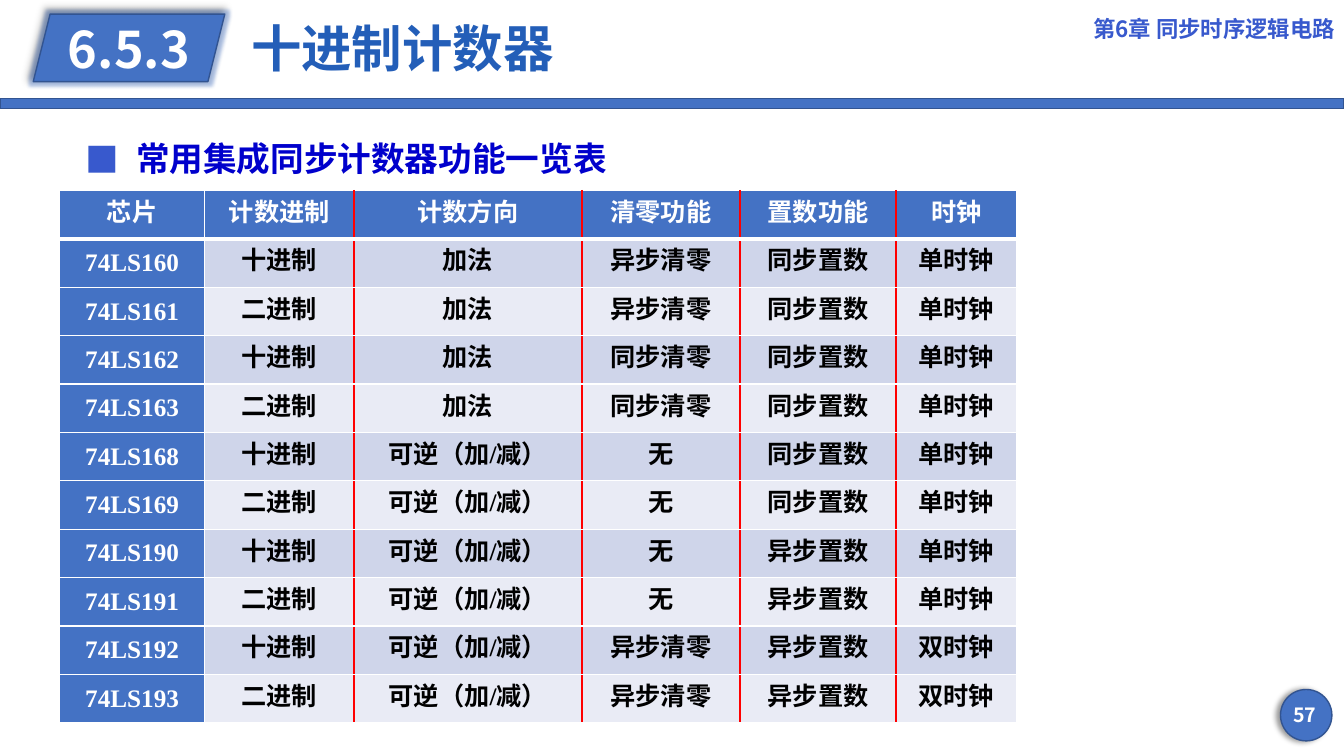
from dataclasses import dataclass

from lxml import etree
from pptx import Presentation
from pptx.dml.color import RGBColor
from pptx.enum.shapes import MSO_SHAPE
from pptx.enum.text import MSO_ANCHOR, MSO_AUTO_SIZE, PP_ALIGN
from pptx.oxml.ns import qn
from pptx.util import Pt

PX = 9144  # EMU per px, 100 px to the inch
LEFT, MID, RIGHT = PP_ALIGN.LEFT, PP_ALIGN.CENTER, PP_ALIGN.RIGHT
TOP, CENTER = MSO_ANCHOR.TOP, MSO_ANCHOR.MIDDLE
RECT, OVAL, SLANT = MSO_SHAPE.RECTANGLE, MSO_SHAPE.OVAL, MSO_SHAPE.PARALLELOGRAM
FIXED = MSO_AUTO_SIZE.NONE


@dataclass(frozen=True)
class Theme:
    sans: str = "Noto Sans CJK SC"
    serif: str = "Times New Roman"
    blue: str = "4472C4"
    edge: str = "325491"
    title: str = "235EB8"
    mark: str = "3859CD"
    topic: str = "0000CC"
    white: str = "FFFFFF"
    black: str = "000000"
    red: str = "FF0000"
    bands: tuple = ("E9EBF5", "CFD5EA")
    huge: int = 36
    large: int = 24
    cell: int = 18
    small: int = 16
    tiny: int = 14


def put(obj, **vals):
    for name, val in vals.items():
        setattr(obj, name, val)


def node(root, tag, **attrs):
    return etree.SubElement(root, qn(tag), {k: str(v) for k, v in attrs.items()})


def tint(root, color, alpha):
    """Add a colour with an opacity in percent."""
    node(node(root, "a:srgbClr", val=color), "a:alpha", val=alpha * 1000)


class Deck:
    def __init__(self, theme):
        self.theme = theme
        self.prs = Presentation()
        put(self.prs, slide_width=1333 * PX, slide_height=750 * PX)
        self.slide = self.prs.slides.add_slide(self.prs.slide_layouts[1])

    def place(self, shape, box):
        names = ("left", "top", "width", "height")
        put(shape, **{n: v * PX for n, v in zip(names, box)})

    def text(self, frame, words, size, color, face=None, align=MID, space=None):
        para = frame.paragraphs[0]
        put(para, alignment=align, line_spacing=space)
        run = para.add_run()
        run.text = words
        put(run.font, name=face or self.theme.sans, size=Pt(size), bold=True)
        run.font.color.rgb = RGBColor.from_string(color)
        node(run.font._element, "a:ea", typeface=self.theme.sans)
        return para

    def shape(self, kind, box, angle=None, glow=False):
        shape = self.slide.shapes.add_shape(kind, *(v * PX for v in box))
        shape.shadow.inherit = False
        shape.fill.solid()
        shape.fill.fore_color.rgb = RGBColor.from_string(self.theme.blue)
        shape.line.color.rgb = RGBColor.from_string(self.theme.edge)
        shape.line.width = Pt(1)
        effects = shape._element.spPr.find(qn("a:effectLst"))
        if glow:
            tint(node(effects, "a:glow", rad=Pt(5)), self.theme.blue, 40)
        if angle is not None:
            cast = node(effects, "a:outerShdw", blurRad=Pt(4), dist=Pt(3),
                        dir=angle * 60000, algn="ctr", rotWithShape=0)
            tint(cast, self.theme.black, 40)
        return shape

    def badge(self, box, words):
        frame = self.shape(SLANT, box, angle=225, glow=True).text_frame
        put(frame, vertical_anchor=CENTER, word_wrap=False)
        self.text(frame, words, self.theme.huge, self.theme.white)

    def label(self, box, words, size, color, align):
        frame = self.slide.shapes.add_textbox(*(v * PX for v in box)).text_frame
        put(frame, word_wrap=True, vertical_anchor=CENTER)
        self.text(frame, words, size, color, align=align)

    def title(self, box, words):
        shape = self.slide.shapes.title
        self.place(shape, box)
        put(shape.text_frame, vertical_anchor=CENTER, auto_size=FIXED)
        self.text(shape.text_frame, words, self.theme.huge, self.theme.title,
                  align=LEFT, space=0.9)

    def topic(self, box, words):
        shape = self.slide.placeholders[1]
        self.place(shape, box)
        put(shape.text_frame, vertical_anchor=TOP, auto_size=FIXED)
        props = shape.text_frame.paragraphs[0]._p.get_or_add_pPr()
        props.set("marL", str(50 * PX))
        props.set("indent", str(-50 * PX))
        node(node(props, "a:buClr"), "a:srgbClr", val=self.theme.mark)
        node(props, "a:buFont", typeface=self.theme.sans)
        node(props, "a:buChar", char="■")
        para = self.text(shape.text_frame, words, self.theme.large,
                         self.theme.topic, align=LEFT, space=1.5)
        para.space_before = Pt(0)

    def border(self, cell, sides):
        props = cell._tc.get_or_add_tcPr()
        for spot, (side, (color, width)) in enumerate(sides.items()):
            line = node(props, f"a:ln{side}", w=Pt(width))
            node(node(line, "a:solidFill"), "a:srgbClr", val=color)
            props.insert(spot, line)

    def table(self, left, top, widths, height, rows):
        theme = self.theme
        box = (left, top, sum(widths), height * len(rows))
        table = self.slide.shapes.add_table(
            len(rows), len(widths), *(v * PX for v in box)).table
        for col, width in zip(table.columns, widths):
            col.width = width * PX
        thin, rule = (theme.white, 1), (theme.red, 1.5)
        last = len(widths) - 1
        for r, row in enumerate(rows):
            for c, words in enumerate(row):
                cell = table.cell(r, c)
                head = r == 0 or c == 0
                put(cell, vertical_anchor=CENTER, margin_left=11 * PX,
                    margin_right=11 * PX, margin_top=0, margin_bottom=0)
                cell.fill.solid()
                fill = theme.blue if head else theme.bands[r % 2]
                cell.fill.fore_color.rgb = RGBColor.from_string(fill)
                self.border(cell, {
                    "L": rule if c > 1 else thin,
                    "R": rule if 0 < c < last else thin,
                    "T": thin,
                    "B": thin if r else (theme.white, 3)})
                self.text(cell.text_frame, words, theme.cell,
                          theme.white if head else theme.black,
                          face=theme.serif, space=Pt(20))


HEADS = ("芯片", "计数进制", "计数方向", "清零功能", "置数功能", "时钟")
UP, BOTH = "加法", "可逆（加/减）"
CHIPS = (  # two chips per group: decimal, then binary
    ((160, 161), UP, "异步清零", "同步置数", "单时钟"),
    ((162, 163), UP, "同步清零", "同步置数", "单时钟"),
    ((168, 169), BOTH, "无", "同步置数", "单时钟"),
    ((190, 191), BOTH, "无", "异步置数", "单时钟"),
    ((192, 193), BOTH, "异步清零", "异步置数", "双时钟"),
)


def main():
    theme = Theme()
    deck = Deck(theme)
    deck.shape(RECT, (0, 98, 1333, 10))
    deck.shape(OVAL, (1270, 684, 51, 51), angle=180)
    deck.label((1263, 689, 62, 40), "57", theme.tiny, theme.white, MID)
    deck.badge((33, 14, 190, 67), "6.5.3")
    deck.title((239, 11, 688, 80), "十进制计数器")
    deck.label((1055, 0, 279, 56), "第6章 同步时序逻辑电路",
               theme.small, theme.mark, RIGHT)
    deck.topic((75, 112, 633, 64), "常用集成同步计数器功能一览表")
    rows = [HEADS] + [
        (f"74LS{chip}", base, *rest)
        for pair, *rest in CHIPS
        for chip, base in zip(pair, ("十进制", "二进制"))]
    deck.table(59, 189, (144, 148, 226, 157, 155, 119), 48, rows)
    deck.prs.save("out.pptx")


if __name__ == "__main__":
    main()
